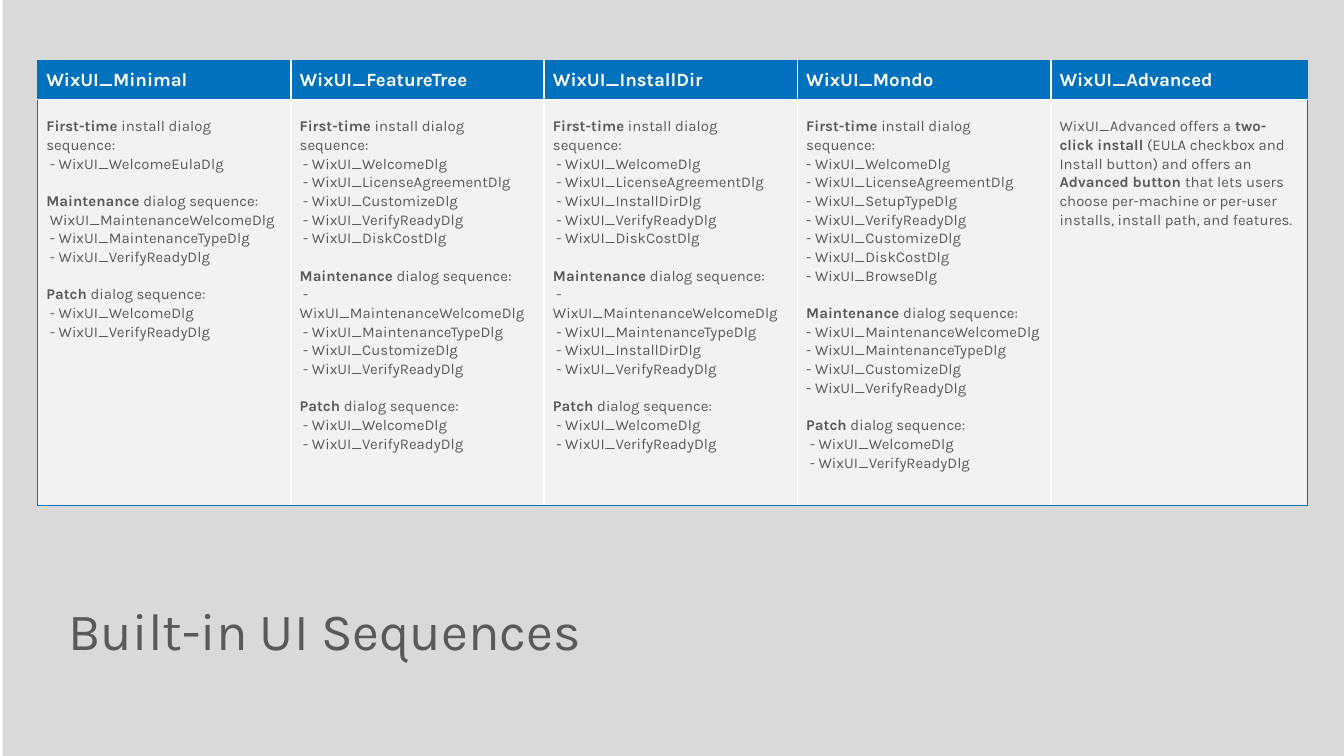
from lxml.etree import SubElement
from pptx import Presentation
from pptx.dml.color import RGBColor
from pptx.enum.shapes import MSO_SHAPE
from pptx.enum.text import MSO_ANCHOR, PP_ALIGN
from pptx.oxml.ns import qn
from pptx.util import Inches, Pt

WIDE = Inches(10)
HIGH = WIDE * 9 // 16
FONT = "Karla"
HEX = {"page": "D9D9D9", "head": "0071BC", "body": "F2F2F2",
       "text": "595959", "white": "FFFFFF"}


def dash(names, mark=" - "):
    """Return dialog names with their suffix and a leading mark."""
    return [f"{mark}WixUI_{name}Dlg" for name in names.split()]


def flow(first, care):
    """Return the lines of one column of dialog sequences."""
    return ["*First-time* install dialog sequence:", *first,
            "*Maintenance* dialog sequence:", *care,
            "*Patch* dialog sequence:", *dash("Welcome VerifyReady")]


def full(step):
    """Return the sequences that differ only in one custom step."""
    return flow(dash(f"Welcome LicenseAgreement {step} VerifyReady DiskCost"),
                dash(f"MaintenanceWelcome MaintenanceType {step} VerifyReady"))


COLS = {
    "WixUI_Minimal": flow(
        dash("WelcomeEula"),
        dash("MaintenanceWelcome", " ") + dash("MaintenanceType VerifyReady")),
    "WixUI_FeatureTree": full("Customize"),
    "WixUI_InstallDir": full("InstallDir"),
    "WixUI_Mondo": flow(
        dash("Welcome LicenseAgreement SetupType VerifyReady Customize "
             "DiskCost Browse", "- "),
        dash("MaintenanceWelcome MaintenanceType Customize VerifyReady", "- ")),
    "WixUI_Advanced": [
        "WixUI_Advanced offers a *two-click install* (EULA checkbox and "
        "Install button) and offers an *Advanced button *that lets users "
        "choose per-machine or per-user installs, install path, and features."],
}


def color(key):
    """Return a named color."""
    return RGBColor.from_string(HEX[key])


def style(run, size, key, bold=False):
    """Format one run."""
    font = run.font
    font.name, font.size, font.bold = FONT, Pt(size), bold
    font.color.rgb = color(key)


def write(cell, lines, size, key):
    """Fill a cell with lines whose starred parts are bold."""
    frame = cell.text_frame
    for row, line in enumerate(lines):
        para = frame.add_paragraph() if row else frame.paragraphs[0]
        para.line_spacing = 1.07
        if row and line.startswith("*"):
            para.space_before = Pt(10)
        for part, text in enumerate(line.split("*")):
            if text:
                run = para.add_run()
                run.text = text
                style(run, size, key, part % 2 == 1)


def edge(cell, outer):
    """Draw cell borders, blue on the outer sides and white inside."""
    props = cell._tc.get_or_add_tcPr()
    for side in "LRTB":
        blue = side in outer
        line = SubElement(props, qn(f"a:ln{side}"), w=str(Pt(0.5 if blue else 1)))
        fill = SubElement(line, qn("a:solidFill"))
        SubElement(fill, qn("a:srgbClr"), val=HEX["head" if blue else "white"])


def paint(cell, key, outer):
    """Set the borders, fill and margins of a cell."""
    edge(cell, outer)
    cell.fill.solid()
    cell.fill.fore_color.rgb = color(key)
    cell.margin_left = cell.margin_right = Pt(4.7)
    cell.margin_top = cell.margin_bottom = 0


def panel(slide, left, top, wide, high):
    """Place the page panel behind everything else."""
    shape = slide.shapes.add_shape(MSO_SHAPE.RECTANGLE, left, top, wide, high)
    shape.shadow.inherit = False
    shape.fill.solid()
    shape.fill.fore_color.rgb = color("page")
    shape.line.fill.background()
    slide.shapes._spTree.insert(2, shape._element)


def title(slide, text, left, top, wide, high):
    """Place and format the slide title."""
    shape = slide.shapes.title
    shape.left, shape.top, shape.width, shape.height = left, top, wide, high
    frame = shape.text_frame
    frame.text = text
    frame.vertical_anchor = MSO_ANCHOR.BOTTOM
    frame.margin_left = frame.margin_right = 0
    frame.margin_top = frame.margin_bottom = 0
    para = frame.paragraphs[0]
    para.alignment = PP_ALIGN.LEFT
    style(para.runs[0], 28, "text")


def grid(slide, left, top, wide, high):
    """Place the table with equal columns and a slightly wider last one."""
    end = len(COLS) - 1
    last, bar = Inches(1.91), Inches(0.29)
    table = slide.shapes.add_table(2, end + 1, left, top, wide, high).table
    table.first_row = table.horz_banding = False
    table.rows[0].height = bar
    table.rows[1].height = high - bar
    for col, (name, lines) in enumerate(COLS.items()):
        table.columns[col].width = last if col == end else (wide - last) // end
        outer = {0: "L", end: "R"}.get(col, "")
        head, body = table.cell(0, col), table.cell(1, col)
        paint(head, "head", outer + "T")
        paint(body, "body", outer + "B")
        head.vertical_anchor = MSO_ANCHOR.MIDDLE
        body.margin_top = Pt(9.4)
        write(head, [f"*{name}*"], 10, "white")
        write(body, lines, 8, "text")


def main():
    """Build the slide and save it."""
    deck = Presentation()
    deck.slide_width, deck.slide_height = WIDE, HIGH
    slide = deck.slides.add_slide(deck.slide_layouts[5])
    panel(slide, Inches(0.02), 0, WIDE - Inches(0.02), HIGH)
    grid(slide, Inches(0.28), Inches(0.45), Inches(9.45), Inches(3.31))
    title(slide, "Built-in UI Sequences",
          Inches(0.51), Inches(4.37), Inches(8.98), Inches(0.55))
    deck.save("out.pptx")


if __name__ == "__main__":
    main()
